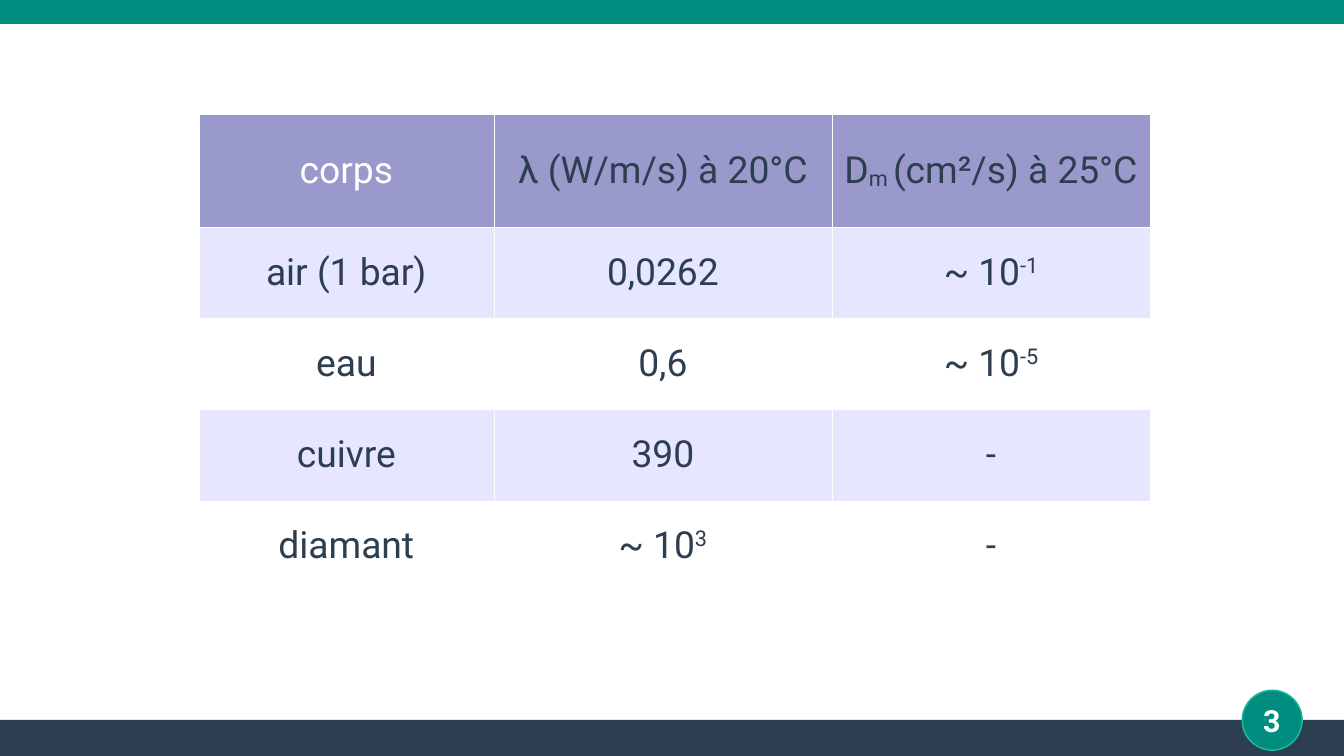
from lxml import etree
from pptx import Presentation
from pptx.dml.color import RGBColor
from pptx.enum.shapes import MSO_SHAPE
from pptx.enum.text import MSO_ANCHOR, PP_ALIGN
from pptx.oxml.ns import qn
from pptx.util import Cm, Pt

NAVY = RGBColor(0x2C, 0x3E, 0x50)
TEAL = RGBColor(0x00, 0x8C, 0x7F)
MINT = RGBColor(0x1A, 0xBC, 0x9C)
PURPLE = RGBColor(0x99, 0x99, 0xCC)
LAVENDER = RGBColor(0xE6, 0xE6, 0xFF)
WHITE = RGBColor(0xFF, 0xFF, 0xFF)
RECT, OVAL = MSO_SHAPE.RECTANGLE, MSO_SHAPE.OVAL
CENTER, MIDDLE = PP_ALIGN.CENTER, MSO_ANCHOR.MIDDLE
FONT = "Roboto"


def add_run(p, text, size, color, baseline=0):
    r = p.add_run()
    r.text = text
    r.font.name = FONT
    r.font.size = Pt(size)
    r.font.color.rgb = color
    if baseline:
        r.font._element.set("baseline", str(baseline * 1000))
    return r


def add_borders(cell):
    tcPr = cell._tc.get_or_add_tcPr()
    for side in ("a:lnL", "a:lnR", "a:lnT", "a:lnB"):
        ln = etree.SubElement(tcPr, qn(side), w=str(Pt(0.06)))
        fill = etree.SubElement(ln, qn("a:solidFill"))
        etree.SubElement(fill, qn("a:srgbClr"), val=str(WHITE))


prs = Presentation()
prs.slide_width, prs.slide_height = Cm(28), Cm(15.75)
s = prs.slides.add_slide(prs.slide_layouts[6])

# Bottom bar, top bar and page number disc
for kind, x, y, w, h, color in (
    (RECT, 0, 15, 28, 0.75, NAVY),
    (RECT, 0, 0, 28, 0.5, TEAL),
    (OVAL, 25.88, 14.38, 1.25, 1.25, TEAL),
):
    sp = s.shapes.add_shape(kind, Cm(x), Cm(y), Cm(w), Cm(h))
    sp.shadow.inherit = False
    sp.fill.solid()
    sp.fill.fore_color.rgb = color
    if kind == OVAL:
        sp.line.color.rgb = MINT
        sp.line.width = Pt(0.85)
    else:
        sp.line.fill.background()

# Page number
tf = s.shapes.add_textbox(Cm(25.5), Cm(14.25), Cm(2), Cm(1.5)).text_frame
tf.word_wrap = True
tf.vertical_anchor = MIDDLE
tf.margin_left = tf.margin_right = tf.margin_top = tf.margin_bottom = 0
p = tf.paragraphs[0]
p.alignment = CENTER
add_run(p, "3", 18, WHITE).font.bold = True

# Table content: each cell is a list of (text, baseline shift in percent)
ROWS = [
    [[("corps", 0)], [("λ (W/m/s) à 20°C", 0)],
     [("D", 0), ("m ", -8), ("(cm²/s) à 25°C", 0)]],
    [[("air (1 bar)", 0)], [("0,0262", 0)], [("~ 10", 0), ("-1", 33)]],
    [[("eau", 0)], [("0,6", 0)], [("~ 10", 0), ("-5", 33)]],
    [[("cuivre", 0)], [("390", 0)], [("-", 0)]],
    [[("diamant", 0)], [("~ 10", 0), ("3", 33)], [("-", 0)]],
]
COL_WIDTHS = (6.15, 7.04, 6.63)
ROW_HEIGHTS = (2.36, 1.9, 1.9, 1.9, 1.9)

table = s.shapes.add_table(len(ROWS), len(COL_WIDTHS), Cm(4.14), Cm(2.37),
                           Cm(sum(COL_WIDTHS)), Cm(sum(ROW_HEIGHTS))).table
for col, width in zip(table.columns, COL_WIDTHS):
    col.width = Cm(width)
for row, height in zip(table.rows, ROW_HEIGHTS):
    row.height = Cm(height)

for i, row in enumerate(ROWS):
    row_fill = PURPLE if i == 0 else LAVENDER if i % 2 else WHITE
    for j, parts in enumerate(row):
        cell = table.cell(i, j)
        add_borders(cell)
        cell.fill.solid()
        cell.fill.fore_color.rgb = row_fill
        cell.vertical_anchor = MIDDLE
        p = cell.text_frame.paragraphs[0]
        p.alignment = CENTER
        color = WHITE if i == j == 0 else NAVY
        for text, baseline in parts:
            add_run(p, text, 22, color, baseline)

prs.save("out.pptx")
